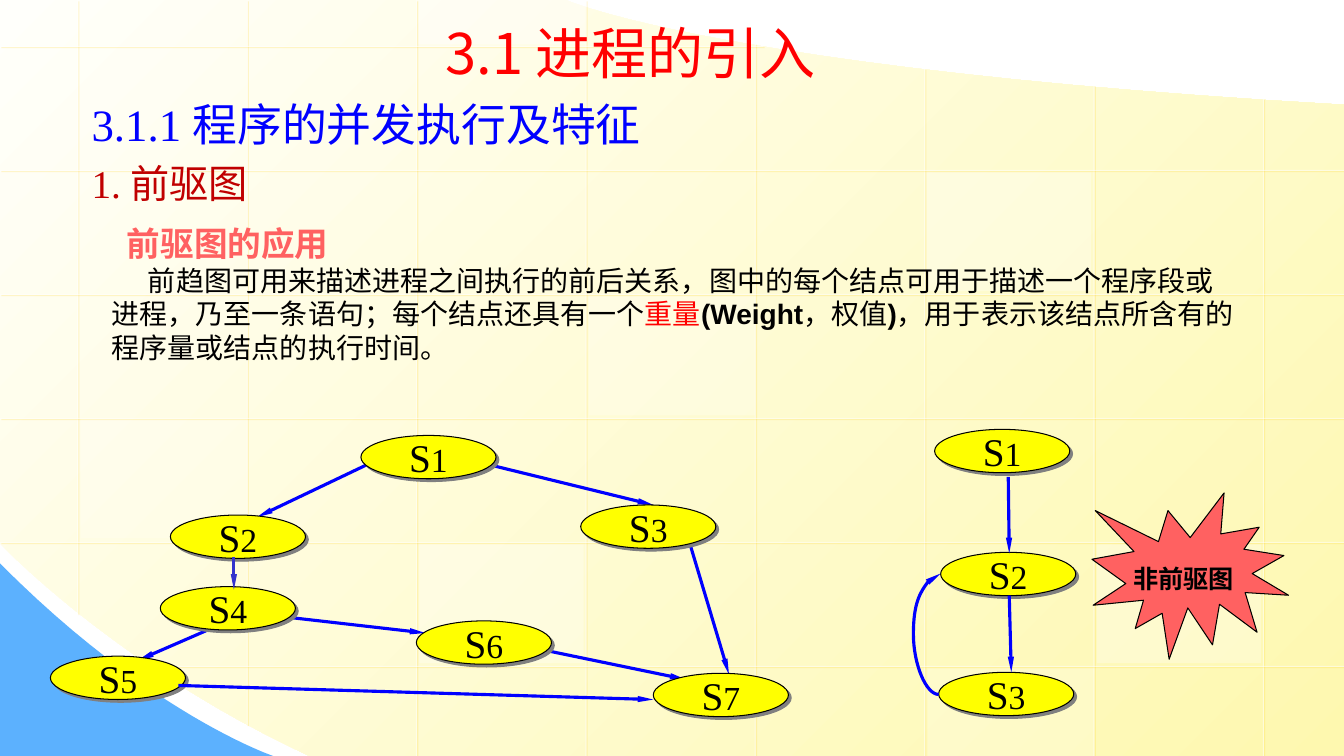
from lxml import etree
from pptx import Presentation
from pptx.dml.color import RGBColor
from pptx.enum.shapes import MSO_CONNECTOR, MSO_SHAPE
from pptx.enum.text import MSO_ANCHOR, PP_ALIGN
from pptx.oxml.ns import qn
from pptx.util import Inches, Pt

LINE, CURVE = MSO_CONNECTOR.STRAIGHT, MSO_CONNECTOR.CURVE
RECT, OVAL, STAR = MSO_SHAPE.RECTANGLE, MSO_SHAPE.OVAL, MSO_SHAPE.EXPLOSION1
TOP, MIDDLE = MSO_ANCHOR.TOP, MSO_ANCHOR.MIDDLE
LEFT, CENTER = PP_ALIGN.LEFT, PP_ALIGN.CENTER
SANS, SERIF, HAN = "Arial", "Times New Roman", "Noto Sans CJK SC"
BLUE, RED, CORAL, BLACK = "0000FF", "FF0000", "FF6161", "000000"
NODE_W, NODE_H = 1.34, 0.43


def color(code):
    """Turn a hex string into a colour."""
    return RGBColor.from_string(code)


def fade(fill, percent):
    """Make a solid fill partly transparent."""
    tint = fill._xPr.find(".//" + qn("a:srgbClr"))
    etree.SubElement(tint, qn("a:alpha"), val=str(percent * 1000))


def shade(shape, code=None, alpha=100, dist=0):
    """Give a shape a diagonal shadow, or none without a colour."""
    props = shape._element.spPr
    for old in props.findall(qn("a:effectLst")):
        props.remove(old)
    effects = etree.SubElement(props, qn("a:effectLst"))
    if code:
        outer = etree.SubElement(effects, qn("a:outerShdw"), dist=str(Pt(dist)),
                                 dir="2700000", algn="ctr", rotWithShape="0")
        tint = etree.SubElement(outer, qn("a:srgbClr"), val=code)
        etree.SubElement(tint, qn("a:alpha"), val=str(alpha * 1000))


def write(para, text, size=20, font=SANS, tint=BLACK, bold=False):
    """Add a formatted run of text to a paragraph."""
    run = para.add_run()
    run.text = text
    run.font.size, run.font.name, run.font.bold = Pt(size), font, bold
    run.font.color.rgb = color(tint)
    etree.SubElement(run.font._element, qn("a:ea"), typeface=HAN)


def indent(para, margin, first):
    """Set the left margin and first-line indent of a paragraph."""
    props = para._p.get_or_add_pPr()
    props.set("marL", str(Inches(margin)))
    props.set("indent", str(Inches(first)))


def frame(slide, box):
    """Add a wrapping text box and return its text frame."""
    text = slide.shapes.add_textbox(*map(Inches, box)).text_frame
    text.word_wrap = True
    return text


def block(slide, kind, box, fill, line=None):
    """Add a filled preset shape."""
    shape = slide.shapes.add_shape(kind, *map(Inches, box))
    shape.shadow.inherit = False
    shape.fill.solid()
    shape.fill.fore_color.rgb = color(fill)
    if line:
        shape.line.color.rgb = color(line)
        shape.line.width = Pt(0.75)
    else:
        shape.line.fill.background()
    return shape


def link(slide, ends, tint=BLUE, width=2.25, kind=LINE, head=True):
    """Join two points, with an arrowhead if wanted."""
    line = slide.shapes.add_connector(kind, *map(Inches, ends))
    line.line.color.rgb = color(tint)
    line.line.width = Pt(width)
    if head:
        etree.SubElement(line.line._get_or_add_ln(), qn("a:tailEnd"),
                         type="triangle", w="sm", len="lg")
    shade(line)
    return line


def bend(a, b, c, d, steps=24):
    """List the points of a cubic curve after its start."""
    points = []
    for i in range(1, steps + 1):
        t = i / steps
        u = 1 - t
        points.append(tuple(u**3 * p + 3 * u * u * t * q + 3 * u * t * t * r + t**3 * s
                            for p, q, r, s in zip(a, b, c, d)))
    return points


def patch(slide, box, points):
    """Draw a closed outline without a border."""
    spots = [(Inches(box[0] + x), Inches(box[1] + y)) for x, y in points]
    outline = slide.shapes.build_freeform(*spots[0])
    outline.add_line_segments(spots[1:], close=True)
    shape = outline.convert_to_shape()
    shape.shadow.inherit = False
    shape.line.fill.background()
    return shape


def backdrop(slide, box):
    """Draw the yellow sheet, blue corner, grid and pale tiles."""
    x, y, w, h = box
    sheet = patch(slide, box, [(w, 1.04), (w, h), (3.07, h),
                               *bend((3.07, h), (1.15, 6.61), (0, 5.39), (0, 5.39)),
                               (0, 0), (5.61, 0),
                               *bend((5.61, 0), (5.61, 0), (7.15, 0.69), (w, 1.04))])
    sheet.fill.gradient()
    sheet.fill.gradient_angle = 315
    for stop, tint in zip(sheet.fill.gradient_stops, ("FFFFFB", "FEF8AF")):
        stop.color.rgb = color(tint)
    corner = patch(slide, box, [(0, 5.59), (0, h), (2.71, h),
                                *bend((2.71, h), (2.71, h), (1.49, 7.09), (0, 5.59))])
    corner.fill.solid()
    corner.fill.fore_color.rgb = color("5CB1FE")

    spans = [(0, 6.09), (0, 7.19), (0, h), (0, h), (0.43, h), (0.68, h), (0.85, h), (0.98, h)]
    rules = [(0.77 + 1.68 * i, a, 0.77 + 1.68 * i, b) for i, (a, b) in enumerate(spans)]
    spans = [(0, 7.57)] + [(0, w)] * 4 + [(1.48, w)]
    rules += [(b, 0.46 + 1.23 * i, a, 0.46 + 1.23 * i) for i, (a, b) in enumerate(spans)]
    for a, b, c, d in rules:
        rule = link(slide, (x + a, y + b, x + c, y + d), "FFFFFF", 0.75, head=False)
        fade(rule.line.fill, 50)
        shade(rule, "FFCC00", 34, 1.4)

    for a, b, wide, high, alpha in [
            (5.84, 2.94, 1.65, 1.18, 25), (10.88, 5.4, 1.63, 1.18, 30),
            (0.8, 4.16, 1.65, 1.18, 20), (9.2, 6.63, 1.65, 0.87, 20),
            (4.15, 0, 1.65, 0.44, 40), (4.16, 5.4, 1.63, 1.18, 30),
            (9.19, 1.71, 1.63, 1.18, 30)]:
        fade(block(slide, RECT, (x + a, y + b, wide, high), "FFFFFF").fill, alpha)


def heading(slide, box):
    """Place the title in front of the backdrop."""
    title = slide.shapes.title
    slide.shapes._spTree.append(title._element)
    title.left, title.top, title.width, title.height = map(Inches, box)
    title.text_frame.vertical_anchor = TOP
    para = title.text_frame.paragraphs[0]
    para.alignment = LEFT
    write(para, "3.1 进程的引入", size=40, font=HAN, tint=RED)


def topic(slide, box):
    """Write the section and subsection names."""
    text = frame(slide, box)
    for para, words, size, tint in [
            (text.paragraphs[0], "3.1.1 程序的并发执行及特征", 32, BLUE),
            (text.add_paragraph(), "1. 前驱图", 28, "C00000")]:
        para.line_spacing = 1.2
        write(para, words, size=size, font=SERIF, tint=tint)


def body(slide, box):
    """Write the paragraph on uses of the graph."""
    text = frame(slide, box)
    para = text.paragraphs[0]
    indent(para, 0.08, 0.15)
    write(para, "前驱图的应用", size=24, tint=CORAL, bold=True)
    para = text.add_paragraph()
    indent(para, 0.08, 0.36)
    write(para, "前趋图可用来描述进程之间执行的前后关系，图中的每个结点可用于描述一个程序段或"
                "进程，乃至一条语句；每个结点还具有一个")
    write(para, "重量", tint=RED)
    write(para, "(Weight", bold=True)
    write(para, "，权值")
    write(para, ")", bold=True)
    write(para, "，用于表示该结点所含有的程序量或结点的执行时间。")


def graph(slide, box, nodes, under, over=()):
    """Draw numbered nodes between the links under and over them."""
    x, y = box[:2]

    def join(links):
        """Draw links given relative to the box."""
        for a, b, c, d, tint in links:
            link(slide, (x + a, y + b, x + c, y + d), tint)

    join(under)
    for number, (a, b) in enumerate(nodes, 1):
        node = block(slide, OVAL, (x + a, y + b, NODE_W, NODE_H), "FFFF00", BLACK)
        shade(node, "808080", 100, 2.8)
        node.text_frame.word_wrap = False
        node.text_frame.vertical_anchor = MIDDLE
        para = node.text_frame.paragraphs[0]
        para.alignment = CENTER
        write(para, "S", size=28, font=SERIF)
        write(para, str(number), size=24, font=SERIF)
    join(over)


def cycle(slide, box):
    """Draw the looping graph with its burst label."""
    x, y = box[:2]
    graph(slide, box, [(0, 0), (0.06, 1.22), (0.04, 2.41)], [],
          [(0.73, 0.47, 0.74, 1.23, BLUE), (0.74, 1.65, 0.76, 2.41, BLUE)])
    back = link(slide, (x + 0.04, y + 2.63, x + 0.06, y + 1.43), kind=CURVE)
    shape = back._element.spPr.find(qn("a:prstGeom"))
    etree.SubElement(shape.find(qn("a:avLst")), qn("a:gd"), name="adj1", fmla="val -1250000")
    block(slide, STAR, (x + 1.56, y + 0.63, 1.95, 1.65), CORAL, BLACK)
    para = frame(slide, (x + 1.36, y + 1.23, 2.22, 0.42)).paragraphs[0]
    para.alignment = CENTER
    para.line_spacing = 1.15
    write(para, "非前驱图", size=18, bold=True)


def main():
    """Build and save the slide."""
    deck = Presentation()
    deck.slide_width, deck.slide_height = Inches(13.33), Inches(7.5)
    slide = deck.slides.add_slide(deck.slide_layouts[5])
    backdrop(slide, (0, 0, 13.33, 7.5))
    body(slide, (0.93, 2.16, 11.44, 1.35))
    topic(slide, (0.81, 0.8, 6.46, 1.31))
    graph(slide, (0.5, 4.32, 7.32, 2.79),
          [(3.08, 0), (1.19, 0.79), (5.26, 0.69), (1.09, 1.5), (0, 2.19), (3.63, 1.84), (5.98, 2.36)],
          [(6.35, 1.1, 6.73, 2.37, BLUE), (2.41, 1.81, 3.72, 1.96, BLUE),
           (4.35, 0.29, 5.98, 0.69, BLUE), (4.9, 2.13, 6.3, 2.42, BLUE),
           (1.63, 1.9, 0.87, 2.23, BLUE), (3.14, 0.29, 2.05, 0.81, BLUE)],
          [(1.27, 2.48, 5.98, 2.62, BLUE), (1.82, 1.21, 1.82, 1.53, "3333CC")])
    heading(slide, (4.32, 0.13, 4.77, 0.77))
    cycle(slide, (9.27, 4.26, 3.51, 2.84))
    deck.save("out.pptx")


if __name__ == "__main__":
    main()
